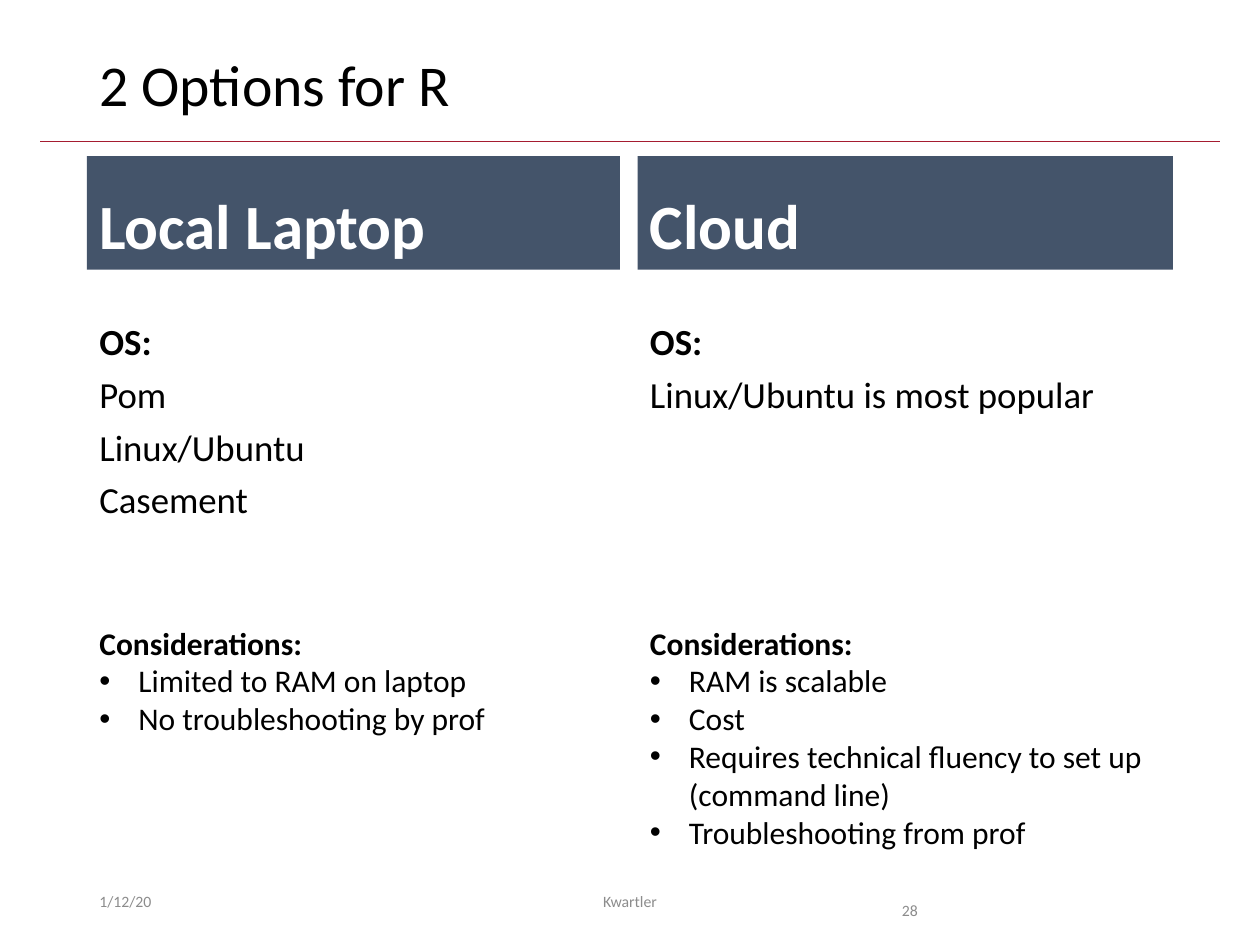
from dataclasses import dataclass

from lxml import etree
from pptx import Presentation
from pptx.dml.color import RGBColor
from pptx.enum.shapes import MSO_CONNECTOR, MSO_SHAPE
from pptx.enum.text import MSO_ANCHOR, PP_ALIGN
from pptx.oxml.ns import qn
from pptx.util import Inches, Pt


@dataclass(frozen=True)
class Theme:
    font: str = "Calibri"
    ink: str = "000000"
    white: str = "FFFFFF"
    band: str = "44546A"
    rule: str = "A51C30"
    muted: str = "8C8C8C"
    title: float = 33
    heading: float = 36
    body: float = 21
    note: float = 18
    footer: float = 9
    gap: float = 7.5
    tight: float = 0.9


class SlideBuilder:
    def __init__(self, slide, theme):
        self.s = slide
        self.theme = theme

    def rule(self, x1, x2, y):
        ln = self.s.shapes.add_connector(
            MSO_CONNECTOR.STRAIGHT, Inches(x1), Inches(y), Inches(x2), Inches(y))
        ln.line.color.rgb = RGBColor.from_string(self.theme.rule)
        ln.line.width = Pt(0.5)
        etree.SubElement(ln._element.spPr, qn("a:effectLst"))

    def bullet(self, p):
        pPr = p._p.get_or_add_pPr()
        pPr.set("marL", str(Inches(0.31)))
        pPr.set("indent", str(-Inches(0.31)))
        etree.SubElement(pPr, qn("a:buFont"), typeface="Arial")
        etree.SubElement(pPr, qn("a:buChar"), char="•")

    def fill_text(self, sp, lines, size, color=None, bold_first=False, bullets=False,
                  spacing=None, gap=None, align=PP_ALIGN.LEFT, anchor=MSO_ANCHOR.TOP):
        tf = sp.text_frame
        tf.word_wrap = True
        tf.vertical_anchor = anchor
        for i, line in enumerate(lines):
            p = tf.paragraphs[0] if i == 0 else tf.add_paragraph()
            if bullets and i:
                self.bullet(p)
            p.alignment = align
            if spacing:
                p.line_spacing = spacing
            if gap and i:
                p.space_before = Pt(gap)
            r = p.add_run()
            r.text = line
            r.font.name = self.theme.font
            r.font.size = Pt(size)
            r.font.bold = bold_first and i == 0
            r.font.color.rgb = RGBColor.from_string(color or self.theme.ink)

    def text(self, x, y, w, h, lines, size, **style):
        sp = self.s.shapes.add_textbox(Inches(x), Inches(y), Inches(w), Inches(h))
        self.fill_text(sp, lines, size, **style)

    def band(self, x, y, w, h, label):
        t = self.theme
        sp = self.s.shapes.add_shape(
            MSO_SHAPE.RECTANGLE, Inches(x), Inches(y), Inches(w), Inches(h))
        sp.shadow.inherit = False
        sp.fill.solid()
        sp.fill.fore_color.rgb = RGBColor.from_string(t.band)
        sp.line.fill.background()
        self.fill_text(sp, [label], t.heading, color=t.white, bold_first=True,
                       spacing=t.tight, anchor=MSO_ANCHOR.BOTTOM)

    def option(self, x, w, label, systems, systems_h, points, points_w, points_h):
        t = self.theme
        self.band(x, 1.24, w, 0.9, label)
        self.text(x, 2.52, w, systems_h, ["OS:", *systems], t.body,
                  bold_first=True, spacing=t.tight, gap=t.gap)
        self.text(x, 4.9, points_w, points_h, ["Considerations:", *points], t.note,
                  bold_first=True, bullets=True)

    def footer(self, x, w, label, **style):
        t = self.theme
        self.text(x, 6.95, w, 0.4, [label], t.footer, color=t.muted, **style)


def main():
    theme = Theme()
    prs = Presentation()
    prs.slide_width = Inches(10)
    prs.slide_height = Inches(7.5)
    b = SlideBuilder(prs.slides.add_slide(prs.slide_layouts[6]), theme)

    b.rule(0.32, 9.68, 1.12)
    b.text(0.69, 0.4, 8.62, 0.65, ["2 Options for R"], theme.title, spacing=theme.tight)
    b.option(0.69, 4.23, "Local Laptop", ["Pom", "Linux/Ubuntu", "Casement"], 1.72,
             ["Limited to RAM on laptop", "No troubleshooting by prof"], 4.05, 1.31)
    b.option(5.06, 4.25, "Cloud", ["Linux/Ubuntu is most popular"], 0.91,
             ["RAM is scalable", "Cost",
              "Requires technical fluency to set up (command line)",
              "Troubleshooting from prof"], 4.28, 2.22)
    b.footer(0.69, 2.25, "1/12/20", anchor=MSO_ANCHOR.MIDDLE)
    b.footer(3.31, 3.38, "Kwartler", align=PP_ALIGN.CENTER, anchor=MSO_ANCHOR.MIDDLE)
    b.footer(7.06, 0.94, "28", spacing=2.0)

    prs.save("out.pptx")


if __name__ == "__main__":
    main()
